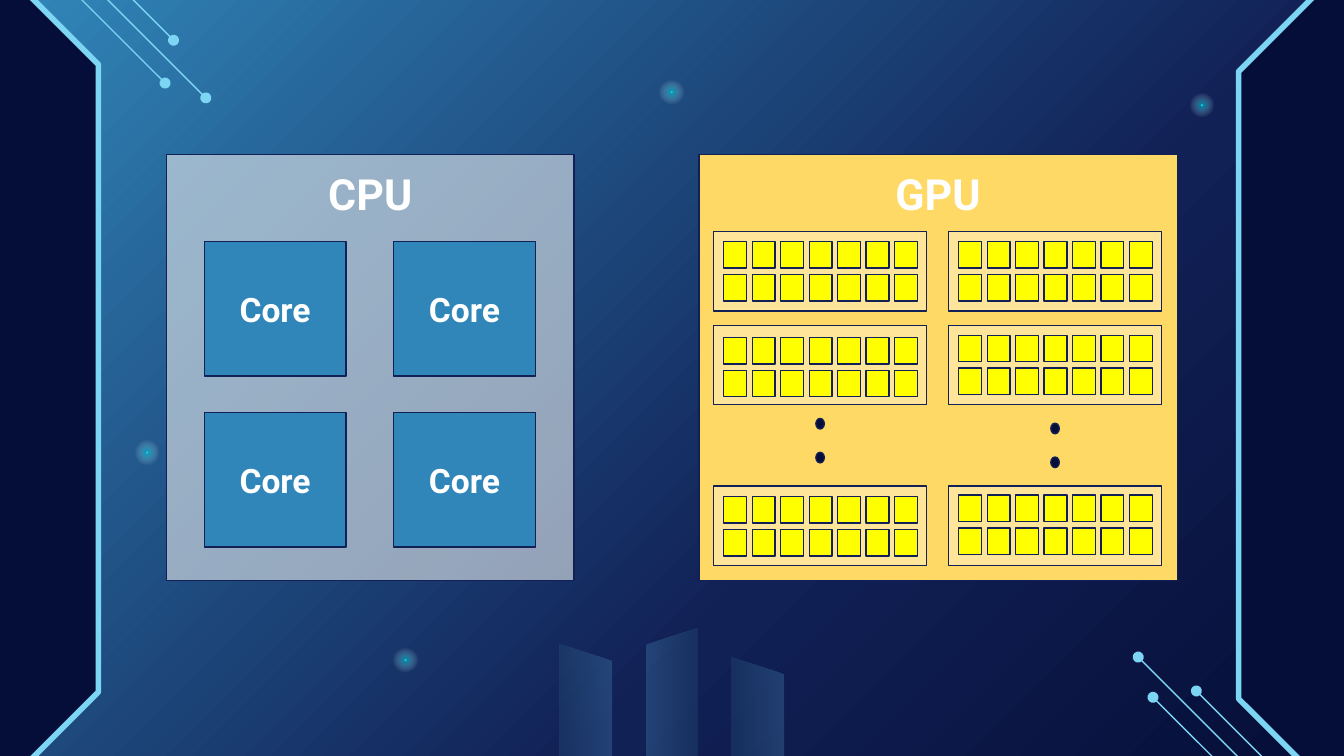
from itertools import product

from lxml import etree
from pptx import Presentation, util as u
from pptx.dml.color import RGBColor
from pptx.enum import shapes, text
from pptx.oxml import ns

# Content: all lengths in centimetres
SLIDE_SIZE = (25.4, 14.29)
GLOWS = [(7.42, 12.24), (22.48, 1.75), (12.45, 1.5), (2.54, 8.31)]
SIDE_PANELS = [(-7.65, 5.36, 90), (17.48, 5.49, 270)]
BARS = [(12.85, 13.41, 90), (11.23, 12.85, 270), (9.6, 13.16, 90)]
# Dotted end of each circuit line, and the diagonal run to its other end
CIRCUITS = [
    (4.15, [(21.51, 12.42), (22.61, 13.06), (21.79, 13.18)]),
    (-4.15, [(3.89, 1.85), (3.28, 0.76), (3.12, 1.57)]),
]
CPU = {"title": "CPU", "box": (3.15, 2.92, 7.7, 8.05), "core": "Core",
       "columns": (3.86, 7.44), "rows": (4.57, 7.8)}
GPU = {"title": "GPU", "box": (13.21, 2.92, 9.04, 8.05),
       "rows": (4.38, 6.15, 9.19),
       "columns": [
           {"left": 13.49, "core_tops": (4.57, 6.38, 9.39), "dots": 7.91},
           {"left": 17.93, "core_tops": (4.57, 6.34, 9.36), "dots": 8.0},
       ]}

# Sizes and gaps
GLOW, PANEL, BAR = (0.48, 0.48), (15.44, 3.58), (2.95, 0.99)
CPU_CORE, GPU_BLOCK, GPU_CORE, DOT = (2.68, 2.54), (4.02, 1.5), (0.43, 0.5), (0.16, 0.2)
TITLE, CORE_LABEL = (2.69, 1.5), (2.69, 1.27)
CORE_GRID, CORE_PITCH = (7, 2), (0.538, 0.62)
CORE_INSET, DOT_PITCH = 0.19, 0.64

# Gradient stops are (position %, colour, opacity %)
THEME = {
    "font": "Roboto", "title_size": 23, "core_size": 18, "text": "FFFFFF",
    "night": "050E38", "navy": "112055", "cyan": "7CD5F3", "core": "3186B9",
    "cpu": "D7DFE5", "gpu": "FFD966", "block": "FFE599", "gpu_core": "FFFF00",
    "background": [(0, "3186B9", 100), (64, "112055", 100), (100, "050E38", 100)],
    "glow": [(0, "21FFFF", 100), (9, "05D8E7", 48), (69, "FFFFFF", 0), (100, "FFFFFF", 0)],
    "bar": [(0, "59A4D3", 25), (100, "2A5F80", 25)],
}


def assign(target, values):
    for name, value in values.items():
        setattr(target, name, value)


def child(parent, tag, **attributes):
    return etree.SubElement(parent, ns.qn(tag), attributes)


def set_opacity(color_element, percent):
    if percent < 100:
        child(color_element, "a:alpha", val=str(percent * 1000))


def set_gradient(owner, fill, stops, angle=None):
    """Swap a solid fill for a linear gradient, or a circular one without angle."""
    fill.solid()
    fill.fore_color.rgb = RGBColor(0, 0, 0)
    solid = owner.find(".//" + ns.qn("a:solidFill"))
    gradient = etree.Element(ns.qn("a:gradFill"), rotWithShape="1")
    stop_list = child(gradient, "a:gsLst")
    for position, color, opacity in stops:
        stop = child(stop_list, "a:gs", pos=str(position * 1000))
        set_opacity(child(stop, "a:srgbClr", val=color), opacity)
    if angle is None:
        circle = child(gradient, "a:path", path="circle")
        child(circle, "a:fillToRect", l="50000", t="50000", r="50000", b="50000")
    else:
        child(gradient, "a:lin", ang=str(angle * 60000), scaled="0")
    solid.getparent().replace(solid, gradient)


def set_line(line, color, width):
    line.color.rgb = RGBColor.from_string(color)
    line.width = u.Pt(width)


def add_shape(slide, kind, position, size, fill=None, line="navy", width=0.75, rotation=0):
    shape = slide.shapes.add_shape(kind, *map(u.Cm, (*position, *size)))
    shape.shadow.inherit = False
    shape.rotation = rotation
    if fill:
        shape.fill.solid()
        shape.fill.fore_color.rgb = RGBColor.from_string(THEME[fill])
    if line:
        set_line(shape.line, THEME[line], width)
    else:
        shape.line.fill.background()
    return shape


def add_label(slide, words, center_x, top, size, points):
    left = center_x - size[0] / 2
    box = slide.shapes.add_textbox(*map(u.Cm, (left, top, *size)))
    inset = u.Cm(0.25)
    assign(box.text_frame, {
        "text": words, "word_wrap": True, "margin_left": inset, "margin_right": inset,
        "margin_top": inset, "margin_bottom": inset,
        "vertical_anchor": text.MSO_ANCHOR.TOP})
    paragraph = box.text_frame.paragraphs[0]
    paragraph.alignment = text.PP_ALIGN.CENTER
    font = paragraph.runs[0].font
    assign(font, {"name": THEME["font"], "size": u.Pt(points), "bold": True})
    font.color.rgb = RGBColor.from_string(THEME["text"])


def add_title(slide, unit):
    left, top, width, _ = unit["box"]
    add_label(slide, unit["title"], left + width / 2, top, TITLE, THEME["title_size"])


def add_circuit(slide, end, run):
    start = [value + run for value in end]
    line = slide.shapes.add_connector(
        shapes.MSO_CONNECTOR.STRAIGHT, *map(u.Cm, (*start, *end)))
    set_line(line.line, THEME["cyan"], 0.75)
    child(line.line._get_or_add_ln(), "a:tailEnd", type="oval")
    child(line.element.spPr, "a:effectLst")


def draw_backdrop(slide):
    kinds = shapes.MSO_SHAPE
    set_gradient(slide.element, slide.background.fill, THEME["background"], 45)
    for position in GLOWS:
        glow = add_shape(slide, kinds.OVAL, position, GLOW, line=None)
        set_gradient(glow.element, glow.fill, THEME["glow"])
    for run, ends in CIRCUITS:
        for end in ends:
            add_circuit(slide, end, run)
    for left, top, rotation in BARS:
        bar = add_shape(slide, kinds.TRAPEZOID, (left, top), BAR, line=None, rotation=rotation)
        bar.adjustments[0] = 0.32
        set_gradient(bar.element, bar.fill, THEME["bar"], 90)
    for left, top, rotation in SIDE_PANELS:
        panel = add_shape(slide, kinds.SNIP_2_SAME_RECTANGLE, (left, top), PANEL,
                          "night", "cyan", 3, rotation)
        panel.adjustments[0] = 0.5
        panel.adjustments[1] = 0


def draw_cpu(slide):
    rectangle = shapes.MSO_SHAPE.RECTANGLE
    box = add_shape(slide, rectangle, CPU["box"][:2], CPU["box"][2:], "cpu")
    set_opacity(box.element.find(".//" + ns.qn("a:srgbClr")), 66)
    add_title(slide, CPU)
    for top, left in product(CPU["rows"], CPU["columns"]):
        add_shape(slide, rectangle, (left, top), CPU_CORE, "core")
        add_label(slide, CPU["core"], left + CPU_CORE[0] / 2,
                  top + (CPU_CORE[1] - CORE_LABEL[1]) / 2, CORE_LABEL, THEME["core_size"])


def draw_gpu(slide):
    kinds = shapes.MSO_SHAPE
    add_shape(slide, kinds.RECTANGLE, GPU["box"][:2], GPU["box"][2:], "gpu")
    add_title(slide, GPU)
    for column in GPU["columns"]:
        left = column["left"]
        for block_top, core_top in zip(GPU["rows"], column["core_tops"]):
            add_shape(slide, kinds.RECTANGLE, (left, block_top), GPU_BLOCK, "block")
            for row, place in product(range(CORE_GRID[1]), range(CORE_GRID[0])):
                position = (left + CORE_INSET + place * CORE_PITCH[0],
                            core_top + row * CORE_PITCH[1])
                add_shape(slide, kinds.RECTANGLE, position, GPU_CORE, "gpu_core")
        # Dots standing for the blocks in between
        for step in range(2):
            position = (left + (GPU_BLOCK[0] - DOT[0]) / 2, column["dots"] + step * DOT_PITCH)
            add_shape(slide, kinds.OVAL, position, DOT, "night")


def main():
    presentation = Presentation()
    assign(presentation, {"slide_width": u.Cm(SLIDE_SIZE[0]),
                          "slide_height": u.Cm(SLIDE_SIZE[1])})
    slide = presentation.slides.add_slide(presentation.slide_layouts[6])
    draw_backdrop(slide)
    draw_cpu(slide)
    draw_gpu(slide)
    presentation.save("out.pptx")


if __name__ == "__main__":
    main()
